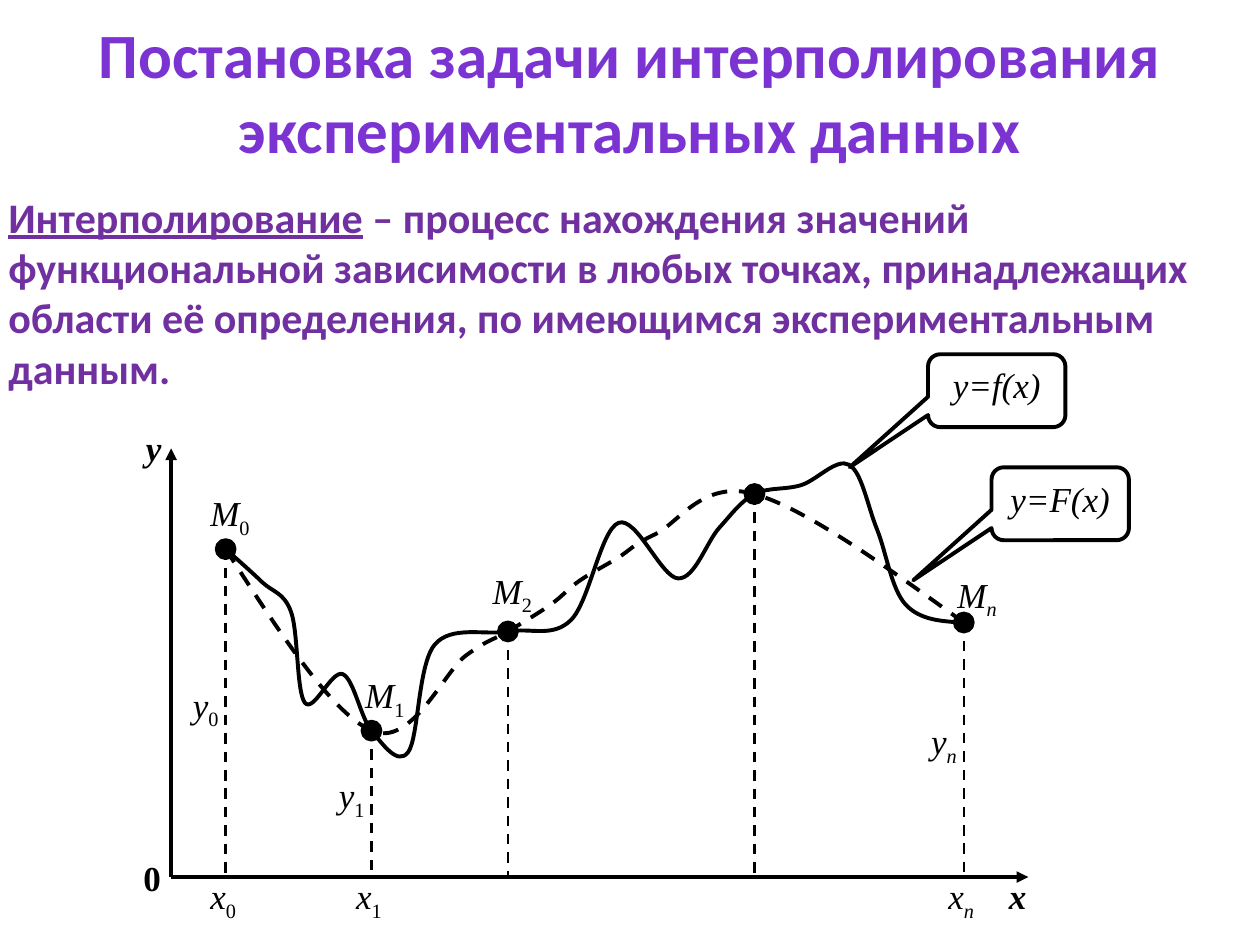
"""Build the slide that states the interpolation problem for experimental data."""
from itertools import pairwise

from lxml.etree import SubElement
from pptx import Presentation
from pptx.dml.color import RGBColor
from pptx.enum.dml import MSO_LINE
from pptx.enum.shapes import MSO_CONNECTOR, MSO_SHAPE
from pptx.enum.text import MSO_ANCHOR, PP_ALIGN
from pptx.oxml.ns import qn
from pptx.util import Cm, Pt

BLACK = RGBColor(0x00, 0x00, 0x00)
TITLE_VIOLET = RGBColor(0x7B, 0x34, 0xD2)
PURPLE = RGBColor(0x70, 0x30, 0xA0)
TEXT_FACE, FORMULA_FACE = "Calibri", "Times New Roman"
THICK, THIN = Pt(2.25), Pt(1.5)

prs = Presentation()
prs.slide_width, prs.slide_height = Cm(25.4), Cm(19.05)
slide = prs.slides.add_slide(prs.slide_layouts[6])
shapes = slide.shapes


def add_run(paragraph, text, size, color, face, bold=False, italic=False):
    run = paragraph.add_run()
    run.text = text
    font = run.font
    font.name, font.size, font.bold, font.italic = face, Pt(size), bold, italic
    font.color.rgb = color
    return run


def add_line(start, end, width):
    line = shapes.add_connector(MSO_CONNECTOR.STRAIGHT, *map(Cm, start + end))
    line.line.color.rgb = BLACK
    line.line.width = width
    SubElement(line._element.spPr, qn("a:effectLst"))
    return line


title = shapes.add_textbox(0, Cm(0.18), Cm(25.4), Cm(3.33)).text_frame
title.word_wrap = True
title.paragraphs[0].alignment = PP_ALIGN.CENTER
add_run(title.paragraphs[0], "Постановка задачи интерполирования экспериментальных данных",
        36, TITLE_VIOLET, TEXT_FACE, bold=True)

definition = shapes.add_textbox(Cm(-0.08), Cm(3.73), Cm(25.4), Cm(4.37)).text_frame
definition.word_wrap = True
term = add_run(definition.paragraphs[0], "Интерполирование", 24, PURPLE, TEXT_FACE, bold=True)
term.font.underline = True
add_run(definition.paragraphs[0],
        " – процесс нахождения значений функциональной зависимости в любых точках, "
        "принадлежащих области её определения, по имеющимся экспериментальным данным.",
        24, PURPLE, TEXT_FACE, bold=True)

ORIGIN_X, ORIGIN_Y = 3.45, 17.68
X_TIP, Y_TIP = 20.73, 9.04
for tip in [(X_TIP, ORIGIN_Y), (ORIGIN_X, Y_TIP)]:
    axis = add_line((ORIGIN_X, ORIGIN_Y), tip, THICK)
    SubElement(axis.line._get_or_add_ln(), qn("a:tailEnd"), type="triangle")

M0, M1, M2, M3, MN = nodes = [
    (4.55, 11.07), (7.49, 14.73), (10.24, 12.73), (15.21, 9.96), (19.43, 12.55)]
DOT = 0.36
for x, y in nodes:
    ordinate = add_line((x, y), (x, ORIGIN_Y), THIN)
    ordinate.line.dash_style = MSO_LINE.DASH
    dot = shapes.add_shape(MSO_SHAPE.OVAL, Cm(x - DOT / 2), Cm(y - DOT / 2), Cm(DOT), Cm(DOT))
    dot.shadow.inherit = False
    dot.fill.solid()
    dot.fill.fore_color.rgb = BLACK
    dot.line.color.rgb = BLACK
    dot.line.width = THICK

# Both curves meet in the nodes; between them only the bends are listed.
interpolant = [
    M0, M1, (9.4, 13.21), M2, (11.1, 12.19), (11.68, 11.71),
    (12.45, 11.25), (13.21, 10.77), M3, MN]
true_function = [
    M0, (5.28, 11.73), (5.87, 12.34), (6.15, 14.17), (6.91, 13.59),
    M1, (8.23, 15.16), (8.76, 13),
    M2, (11.51, 12.5), (12.47, 10.54), (13.67, 11.66), (14.5, 10.64),
    M3, (16.15, 9.78), (17.12, 9.37), (17.68, 10.67), (18.26, 12.19), MN]

# Catmull-Rom rule: each inner handle is a sixth of the chord between the neighbours.
# An end handle lies halfway to the handle of the next knot.
for knots, dash in [(interpolant, MSO_LINE.DASH), (true_function, MSO_LINE.SOLID)]:
    arrivals, departures = [], []
    for (x0, y0), (x, y), (x1, y1) in zip(knots, knots[1:], knots[2:]):
        dx, dy = (x1 - x0) / 6, (y1 - y0) / 6
        arrivals.append((x - dx, y - dy))
        departures.append((x + dx, y + dy))
    first_handle = tuple((a + b) / 2 for a, b in zip(knots[0], arrivals[0]))
    last_handle = tuple((a + b) / 2 for a, b in zip(knots[-1], departures[-1]))
    departures.insert(0, first_handle)
    arrivals.append(last_handle)

    builder = shapes.build_freeform(*map(Cm, knots[0]))
    for bezier_points in zip(departures, arrivals, knots[1:]):
        builder.add_line_segments([(Cm(x), Cm(y)) for x, y in bezier_points], close=False)
    curve = builder.convert_to_shape()
    curve.shadow.inherit = False
    curve.fill.background()
    curve.line.color.rgb = BLACK
    curve.line.width = THICK
    curve.line.dash_style = dash
    outline = curve._element.find(".//" + qn("a:path"))
    segments = outline.findall(qn("a:lnTo"))
    for triple in zip(segments[::3], segments[1::3], segments[2::3]):
        bezier = SubElement(outline, qn("a:cubicBezTo"))
        for segment in triple:
            bezier.append(segment[0])
            outline.remove(segment)

CALLOUT_WIDTH, CALLOUT_HEIGHT = 2.77, 1.47
POINTER_X, POINTER_Y = -1.07, 1.05
for tip_x, tip_y, formula in [(18.41, 11.7, "y=F(x)"), (17.13, 9.42, "y=f(x)")]:
    left = tip_x - (0.5 + POINTER_X) * CALLOUT_WIDTH
    top = tip_y - (0.5 + POINTER_Y) * CALLOUT_HEIGHT
    callout = shapes.add_shape(MSO_SHAPE.ROUNDED_RECTANGULAR_CALLOUT, Cm(left), Cm(top),
                               Cm(CALLOUT_WIDTH), Cm(CALLOUT_HEIGHT))
    callout.adjustments[0], callout.adjustments[1] = POINTER_X, POINTER_Y
    callout.shadow.inherit = False
    callout.fill.background()
    callout.line.color.rgb = BLACK
    callout.line.width = THICK
    callout.text_frame.vertical_anchor = MSO_ANCHOR.TOP
    callout.text_frame.paragraphs[0].alignment = PP_ALIGN.CENTER
    add_run(callout.text_frame.paragraphs[0], formula, 20, BLACK, FORMULA_FACE, italic=True)

X_LABEL_TOP = ORIGIN_Y - 0.18
labels = [
    ("0", "", ORIGIN_X - 0.81, ORIGIN_Y - 0.53),
    ("y", "", ORIGIN_X - 0.76, Y_TIP - 0.56),
    ("x", "", X_TIP - 0.64, X_LABEL_TOP),
    ("M", "2", M2[0] - 0.56, M2[1] - 1.38),
]
for index, (x, y), shift, rise in [("0", M0, 0.56, 1.29), ("1", M1, 0.38, 1.27),
                                   ("n", MN, 0.38, 1.12)]:
    labels += [
        ("M", index, x - shift, y - rise),
        ("x", index, x - 0.56, X_LABEL_TOP),
        ("y", index, x - 0.91, (y + ORIGIN_Y) / 2 - 0.73),
    ]
for symbol, index, left, top in labels:
    width = 1.35 if symbol == "M" else 1.07 if index else 0.86
    label = shapes.add_textbox(Cm(left), Cm(top), Cm(width), Cm(1.12)).text_frame
    label.word_wrap = False
    add_run(label.paragraphs[0], symbol, 20, BLACK, FORMULA_FACE,
            bold=not index, italic=symbol != "0")
    if index:
        subscript = add_run(label.paragraphs[0], index, 20, BLACK, FORMULA_FACE,
                            italic=index == "n")
        subscript.font._element.set("baseline", "-25000")

prs.save("out.pptx")
